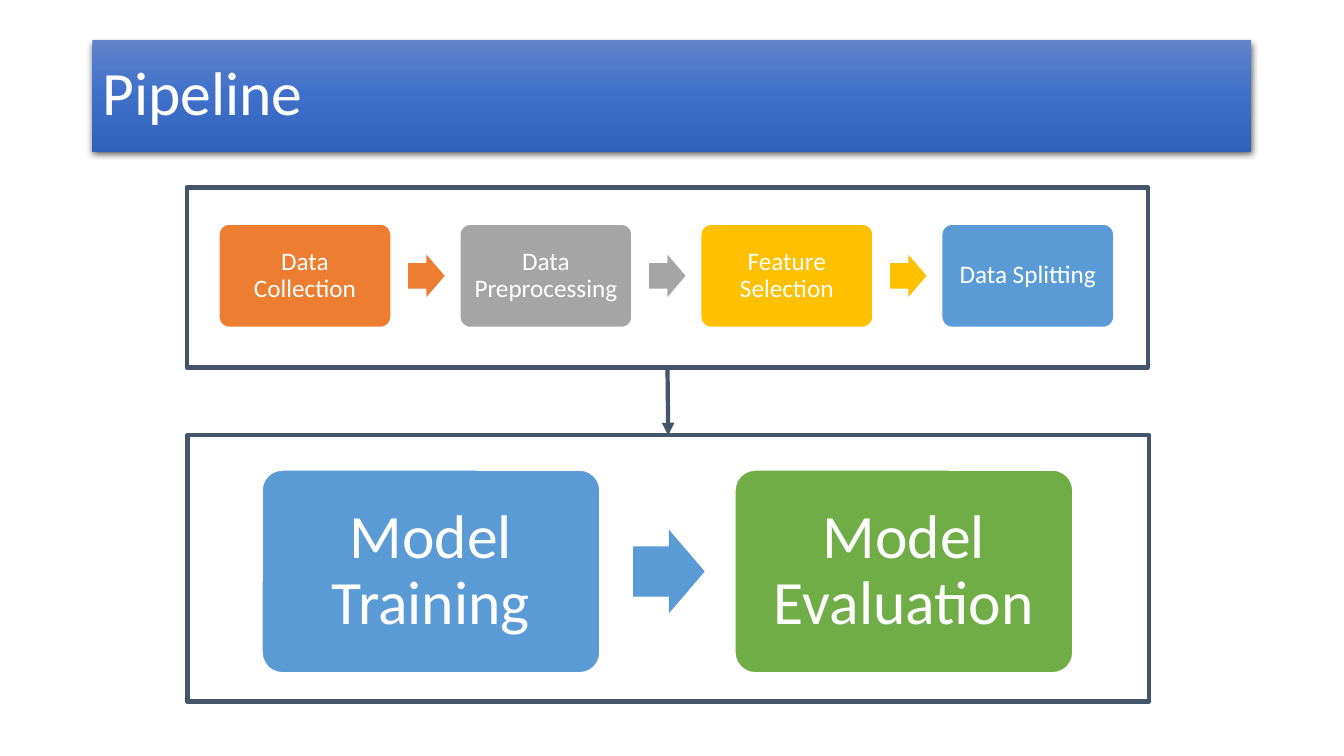
"""Build the Pipeline slide: four data steps leading to two model steps."""
from copy import deepcopy

from lxml.etree import SubElement
from pptx import Presentation
from pptx.dml.color import RGBColor
from pptx.enum.shapes import MSO_CONNECTOR as Connector, MSO_SHAPE as Shape
from pptx.enum.text import MSO_ANCHOR as Anchor, PP_ALIGN as Align
from pptx.oxml.ns import qn
from pptx.util import Pt

WHITE = RGBColor(0xFF, 0xFF, 0xFF)
SLATE = RGBColor(0x44, 0x54, 0x6A)
ORANGE = RGBColor(0xED, 0x7D, 0x31)
GRAY = RGBColor(0xA5, 0xA5, 0xA5)
GOLD = RGBColor(0xFF, 0xC0, 0x00)
BLUE = RGBColor(0x5B, 0x9B, 0xD5)
GREEN = RGBColor(0x70, 0xAD, 0x47)
TITLE_STOPS = [(0, RGBColor(0x61, 0x83, 0xCB)),
               (0.5, RGBColor(0x3E, 0x70, 0xCA)),
               (1, RGBColor(0x30, 0x62, 0xBB))]

deck = Presentation()
deck.slide_width, deck.slide_height = Pt(960), Pt(540)
page = deck.slides.add_slide(deck.slide_layouts[6])


def add_box(kind, left, top, width, height, color=None):
    box = page.shapes.add_shape(kind, Pt(left), Pt(top), Pt(width), Pt(height))
    box.shadow.inherit = False
    box.line.fill.background()
    if color is None:
        box.fill.background()
    else:
        box.fill.solid()
        box.fill.fore_color.rgb = color
    return box


def write(box, text, size, align, inset):
    frame = box.text_frame
    settings = {"word_wrap": True, "vertical_anchor": Anchor.MIDDLE}
    settings.update({f"margin_{side}": Pt(inset)
                     for side in ("left", "top", "right", "bottom")})
    for name, value in settings.items():
        setattr(frame, name, value)
    para = frame.paragraphs[0]
    para.alignment, para.line_spacing = align, 0.9
    span = para.add_run()
    span.text = text
    for name, value in {"name": "Calibri", "size": Pt(size)}.items():
        setattr(span.font, name, value)
    span.font.color.rgb = WHITE


title = add_box(Shape.RECTANGLE, 66, 28.8, 828, 79.5)
title.fill.gradient()
title.fill.gradient_angle = 270
stop_list = title._element.spPr.find(qn("a:gradFill")).find(qn("a:gsLst"))
stop_list.append(deepcopy(stop_list[0]))
for stop, (position, color) in zip(title.fill.gradient_stops, TITLE_STOPS):
    stop.position = position
    stop.color.rgb = color
effects = title._element.spPr.find(qn("a:effectLst"))
shadow = SubElement(effects, qn("a:outerShdw"), blurRad=str(Pt(4.5)),
                    dist=str(Pt(1.5)), dir="5400000", algn="ctr", rotWithShape="0")
shade = SubElement(shadow, qn("a:srgbClr"), val="000000")
SubElement(shade, qn("a:alpha"), val="63000")
write(title, "Pipeline", 44, Align.LEFT, 7.2)

flows = [
    {"steps": [("Data Collection", ORANGE), ("Data Preprocessing", GRAY),
               ("Feature Selection", GOLD), ("Data Splitting", BLUE)],
     "left": 156.4, "top": 160.2, "width": 122.9, "height": 73.7, "pitch": 172.1,
     "arrow": (135.2, 26, 30.4), "size": 18, "inset": 5},
    {"steps": [("Model Training", BLUE), ("Model Evaluation", GREEN)],
     "left": 187.2, "top": 335.8, "width": 241.3, "height": 144.8, "pitch": 337.8,
     "arrow": (265, 51.2, 59.8), "size": 44, "inset": 13},
]
for flow in flows:
    arrow_offset, arrow_width, arrow_height = flow["arrow"]
    arrow_top = flow["top"] + (flow["height"] - arrow_height) / 2
    for index, (text, color) in enumerate(flow["steps"]):
        left = flow["left"] + index * flow["pitch"]
        step = add_box(Shape.ROUNDED_RECTANGLE, left, flow["top"],
                       flow["width"], flow["height"], color)
        step.adjustments[0] = 0.1
        step.line.color.rgb = WHITE
        step.line.width = Pt(1)
        write(step, text, flow["size"], Align.CENTER, flow["inset"])
        if index < len(flow["steps"]) - 1:
            arrow = add_box(Shape.RIGHT_ARROW, left + arrow_offset, arrow_top,
                            arrow_width, arrow_height, color)
            arrow.adjustments[0] = 0.6
            arrow.adjustments[1] = 0.5

data_frame = add_box(Shape.RECTANGLE, 133.4, 134, 686.8, 128.5)
model_frame = add_box(Shape.RECTANGLE, 133.9, 311, 686.8, 190.2)
link = page.shapes.add_connector(Connector.STRAIGHT, 0, 0, 0, 0)
link.begin_connect(data_frame, 2)
link.end_connect(model_frame, 0)
for outlined in (data_frame, model_frame, link):
    outlined.line.color.rgb = SLATE
    outlined.line.width = Pt(3)
link_properties = link._element.spPr
SubElement(link_properties.find(qn("a:ln")), qn("a:tailEnd"), type="triangle")
SubElement(link_properties, qn("a:effectLst"))

deck.save("out.pptx")
